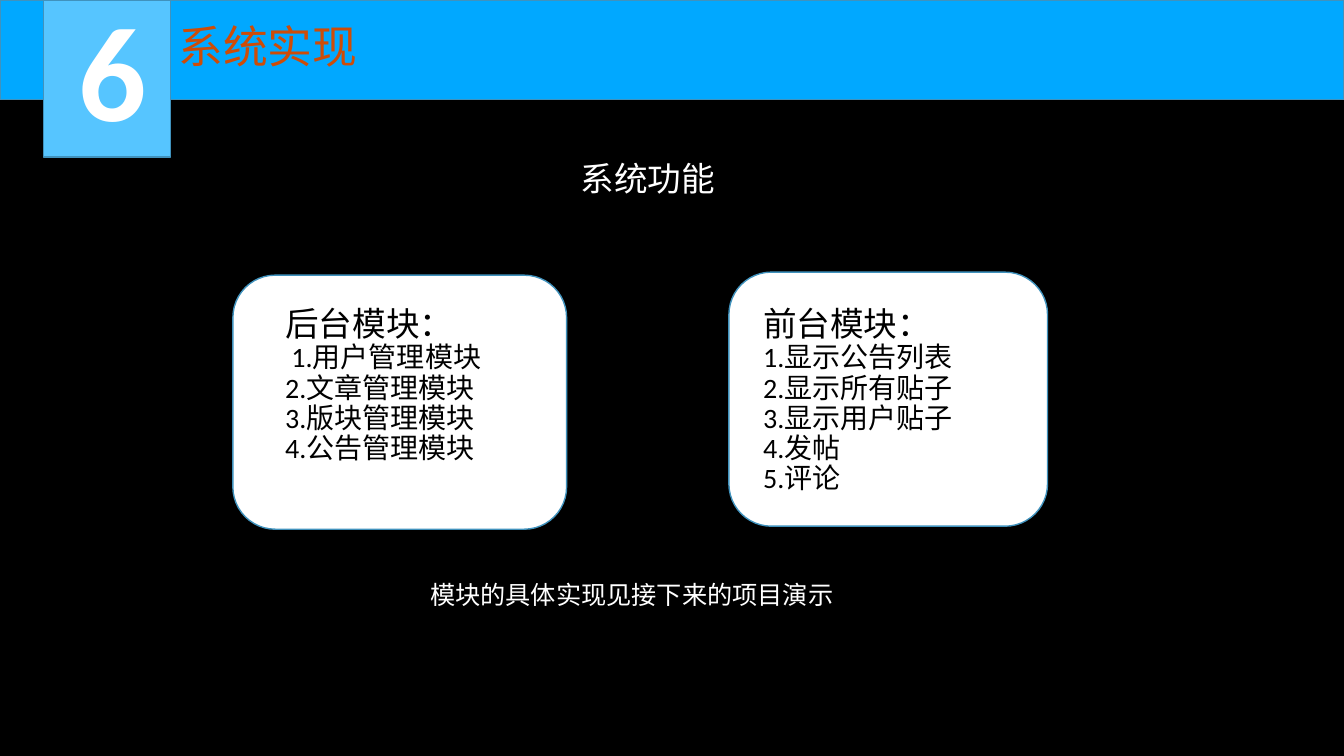
from pptx import Presentation
from pptx import util as u
from pptx.dml import color
from pptx.enum import shapes, text

Inches = u.Inches


def rgb(value):
    return color.RGBColor.from_string(value)


class SlideBuilder:
    font = "Calibri"
    outline = "4092BD"
    white = "FFFFFF"
    black = "000000"

    def __init__(self, presentation):
        self.slide = presentation.slides.add_slide(presentation.slide_layouts[6])

    def background(self, fill):
        background_fill = self.slide.background.fill
        background_fill.solid()
        background_fill.fore_color.rgb = rgb(fill)

    def box(self, left, top, width, height, fill, rounded=False):
        kind = shapes.MSO_SHAPE.ROUNDED_RECTANGLE if rounded else shapes.MSO_SHAPE.RECTANGLE
        shape = self.slide.shapes.add_shape(
            kind, Inches(left), Inches(top), Inches(width), Inches(height))
        shape.shadow.inherit = False
        shape.fill.solid()
        shape.fill.fore_color.rgb = rgb(fill)
        shape.line.color.rgb = rgb(self.outline)
        shape.line.width = u.Pt(1)

    def label(self, left, top, width, height, lines, ink, bold=False, centered=False):
        """Each line is a (wording, size) pair and becomes one paragraph."""
        shape = self.slide.shapes.add_textbox(
            Inches(left), Inches(top), Inches(width), Inches(height))
        frame = shape.text_frame
        frame.word_wrap = True
        frame.auto_size = text.MSO_AUTO_SIZE.SHAPE_TO_FIT_TEXT
        for index, (wording, size) in enumerate(lines):
            paragraph = frame.add_paragraph() if index else frame.paragraphs[0]
            paragraph.line_spacing = 0.9
            paragraph.alignment = text.PP_ALIGN.CENTER if centered else text.PP_ALIGN.LEFT
            run = paragraph.add_run()
            run.text = wording
            run.font.name = self.font
            run.font.size = u.Pt(size)
            run.font.bold = bold
            run.font.color.rgb = rgb(ink)

    def module(self, card, label, heading, items):
        self.box(*card, self.white, rounded=True)
        lines = [(heading, 24)] + [(item, 20) for item in items]
        self.label(*label, lines, self.black)


def main():
    presentation = Presentation()
    presentation.slide_width = Inches(13.33)
    presentation.slide_height = Inches(7.5)
    builder = SlideBuilder(presentation)
    builder.background(builder.black)

    # Header band with chapter number
    builder.box(0, 0, 13.33, 0.99, "01A8FF")
    builder.label(1.67, 0.2, 3.42, 0.59, [("系统实现", 32)], "CE4C07")
    builder.box(0.43, 0, 1.26, 1.56, "56C5FF")
    builder.label(0.68, 0, 0.79, 1.56, [("6", 96)], builder.white, bold=True)

    # Section heading
    builder.label(4.3, 1.56, 4.25, 0.46, [("系统功能", 24)], builder.white, centered=True)

    # Module cards
    builder.module((2.31, 2.73, 3.31, 2.52), (2.73, 3, 2.22, 1.68), "后台模块：",
                   [" 1.用户管理模块", "2.文章管理模块", "3.版块管理模块", "4.公告管理模块"])
    builder.module((7.23, 2.7, 3.16, 2.52), (7.47, 3, 2.68, 1.98), "前台模块：",
                   ["1.显示公告列表", "2.显示所有贴子", "3.显示用户贴子", "4.发帖", "5.评论"])

    # Closing remark
    builder.label(2.16, 5.73, 8.21, 0.37, [("模块的具体实现见接下来的项目演示", 18)],
                  builder.white, centered=True)

    presentation.save("out.pptx")


if __name__ == "__main__":
    main()
